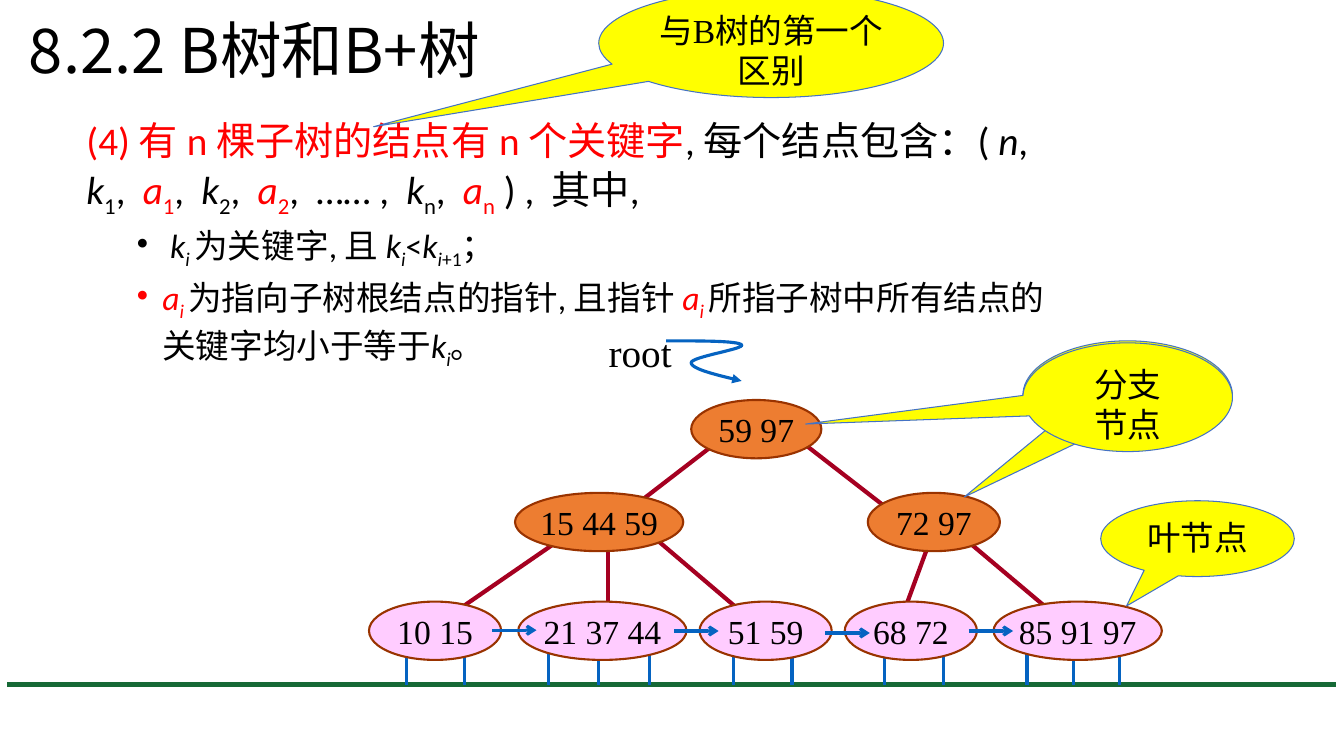
from pptx import Presentation
from pptx import util as u
from pptx.dml.color import RGBColor
from pptx.enum import shapes, text
from pptx.oxml.ns import qn
from lxml import etree

# All lengths in centimetres, sizes in points
RED, BLACK, BLUE, BROWN, CRIMSON = "FF0000", "000000", "0563C1", "993300", "A50021"
ORANGE, PINK, YELLOW, GREEN, RIM = "ED7D31", "FFCCFF", "FFFF00", "166936", "4472C4"
SERIF, SANS, CJK = "Times New Roman", "Calibri", "Noto Sans CJK SC"

TITLE = "8.2.2 B树和B+树"

# Span styles: r red, i italic, s subscript, w widely spaced
COMMA = (", ", "w")
RULES = [  # size, left margin, hanging indent, spans
    (28, 0, 0, [
        ("(4) 有 n 棵子树的结点有 n 个关键字", "r"), (", 每个结点包含：( ", ""),
        ("n", "i"), COMMA, ("k", "i"), ("1", "s"), COMMA, ("a", "ri"), ("1", "rs"), COMMA,
        ("k", "i"), ("2", "s"), COMMA, ("a", "ri"), ("2", "rs"), COMMA, ("…… ", ""), COMMA,
        ("k", "i"), ("n", "s"), COMMA, ("a", "ri"), ("n", "rs"), (" ) ", ""), COMMA,
        ("其中,", "")]),
    (24, 2.11, 0.84, [
        ("k", "i"), ("i ", "is"), ("为关键字, 且 ", ""), ("k", "i"), ("i", "is"), ("<", ""),
        ("k", "i"), ("i", "is"), ("+1", "s"), ("；", "")]),
    (24, 1.91, 0.64, [
        ("a", "ri"), ("i ", "ris"), ("为指向子树根结点的指针, 且指针 ", ""),
        ("a", "ri"), ("i ", "ris"), ("所指子树中所有结点的关键字均小于等于", ""),
        ("k", "i"), ("i", "is"), ("。", "")]),
]

NODE_HEIGHT = 1.47
LEVELS = [  # top, fill, nodes as (keys, left, width)
    (10.08, ORANGE, [("59 97", 17.42, 3.28)]),
    (12.42, ORANGE, [("15 44 59", 12.98, 4.24), ("72 97", 21.87, 3.33)]),
    (15.16, PINK, [("10 15", 9.3, 3.33), ("21 37 44", 13.06, 4.24), ("51 59", 17.63, 3.33),
                   ("68 72", 21.29, 3.33), ("85 91 97", 25.04, 4.24)]),
]
BRANCHES = [
    (19.96, 10.95, 22.94, 13.26), (18.06, 11.15, 15.32, 13.26),
    (15.32, 13.26, 15.32, 15.8), (14.27, 13.49, 11.51, 15.39), (16.15, 13.26, 18.9, 15.6),
    (24.21, 13.49, 26.95, 15.8), (23.57, 13.26, 22.71, 15.6),
]
GROUND, LEG_TOP = 17.25, 16.21
LEGS = [10.24, 11.71, 13.82, 15.09, 16.36, 18.49, 19.96, 22.3, 23.77, 25.88, 27.05, 28.22]
LEAF_LINKS, LINK_LENGTH = [(12.4, 15.88), (16.99, 15.9), (20.8, 15.95), (24.41, 15.9)], 1.12

ROOT_START = (16.79, 8.59)
ROOT_CURVE = [  # two control points and an end for each bend
    ((17.68, 8.59), (18.59, 8.59), (18.69, 8.69)),
    ((18.8, 8.79), (17.42, 8.99), (17.42, 9.14)),
    ((17.42, 9.3), (18.06, 9.45), (18.69, 9.6)),
]
CALLOUTS = [  # lines, place, pointer
    (["与B树的第一个区别"], (15.09, -0.28, 8.69, 2.74), (-1.153, 0.768)),
    (["叶节点"], (27.74, 12.62, 4.88, 1.91), (-0.367, 0.889)),
    ([], (25.78, 8.59, 5.28, 2.74), (-0.78, 0.936)),
    (["分支", "节点"], (25.78, 8.64, 5.28, 2.74), (-1.537, 0.247)),
]


def cm(*lengths):
    return [u.Cm(length) for length in lengths]


def rgb(code):
    return RGBColor.from_string(code)


def style(span, size, latin, asian, color=BLACK):
    font = span.font
    font.size, font.name = u.Pt(size), latin
    font.color.rgb = rgb(color)
    etree.SubElement(span.font._element, qn("a:ea")).set("typeface", asian)


def set_line(shape, color, width, head=None):
    shape.line.color.rgb = rgb(color)
    shape.line.width = u.Pt(width)
    if head:
        outline = shape.element.spPr.find(qn("a:ln"))
        etree.SubElement(outline, qn("a:tailEnd")).set("type", head)


def draw_line(ends, color, width, head=None):
    line = page.shapes.add_connector(shapes.MSO_CONNECTOR.STRAIGHT, *cm(*ends))
    set_line(line, color, width, head)
    etree.SubElement(line.element.spPr, qn("a:effectLst"))


def draw_shape(kind, place, fill, line, width):
    shape = page.shapes.add_shape(kind, *cm(*place))
    shape.shadow.inherit = False
    shape.fill.solid()
    shape.fill.fore_color.rgb = rgb(fill)
    set_line(shape, line, width)
    return shape


def write(shape, lines, size, latin, asian, align=text.PP_ALIGN.CENTER):
    shape.text_frame.text = "\n".join(lines)
    for para in shape.text_frame.paragraphs:
        para.alignment = align
        for span in para.runs:
            style(span, size, latin, asian)


def add_box(place):
    box = page.shapes.add_textbox(*cm(*place))
    box.text_frame.word_wrap = True
    return box


def write_rules(frame):
    for number, (size, margin, hanging, spans) in enumerate(RULES):
        para = frame.add_paragraph() if number else frame.paragraphs[0]
        if number:
            props = para._p.get_or_add_pPr()
            props.set("marL", str(u.Cm(margin)))
            props.set("indent", str(-u.Cm(hanging)))
            etree.SubElement(props, qn("a:buChar")).set("char", "•")
            para.space_before = u.Pt(size / 10)
        para.line_spacing = 1.05
        for words, marks in spans:
            span = para.add_run()
            span.text = words
            span.font.italic = "i" in marks
            style(span, size, SANS, SANS, RED if "r" in marks else BLACK)
            if "s" in marks:
                span.font._element.set("baseline", "-25000")
            if "w" in marks:
                span.font._element.set("spc", "300")


def curve_points(start, bends, steps=16):
    """Points along a chain of cubic Bezier bends."""
    points = []
    for first, second, end in bends:
        for step in range(1, steps + 1):
            t = step / steps
            weights = ((1 - t) ** 3, 3 * t * (1 - t) ** 2, 3 * t * t * (1 - t), t ** 3)
            corners = (start, first, second, end)
            points.append(tuple(u.Cm(sum(w * c[axis] for w, c in zip(weights, corners)))
                                for axis in (0, 1)))
        start = end
    return points


deck = Presentation()
deck.slide_width, deck.slide_height = cm(33.87, 19.05)
page = deck.slides.add_slide(deck.slide_layouts[6])

draw_line((0.18, GROUND, 33.68, GROUND), GREEN, 3.75)
write_rules(add_box((1.93, 2.74, 24.66, 6.4)).text_frame)

for x in LEGS:
    draw_line((x, LEG_TOP, x, GROUND), BLUE, 2.25)
for ends in BRANCHES:
    draw_line(ends, CRIMSON, 3)
for top, fill, nodes in LEVELS:
    for keys, left, width in nodes:
        node = draw_shape(shapes.MSO_SHAPE.OVAL, (left, top, width, NODE_HEIGHT), fill, BROWN, 1.5)
        node.text_frame.word_wrap = False
        node.text_frame.vertical_anchor = text.MSO_ANCHOR.MIDDLE
        write(node, [keys], 24, SERIF, SANS)

pen = page.shapes.build_freeform(*cm(*ROOT_START))
pen.add_line_segments(curve_points(ROOT_START, ROOT_CURVE), close=False)
root_arrow = pen.convert_to_shape()
root_arrow.shadow.inherit = False
root_arrow.fill.background()
set_line(root_arrow, BLUE, 2.25, "triangle")
write(add_box((15.09, 8.15, 2.97, 1.45)), ["root"], 28, SERIF, SANS, text.PP_ALIGN.LEFT)

for x, y in LEAF_LINKS:
    draw_line((x, y, x + LINK_LENGTH, y), BLUE, 2.25, "arrow")

for lines, place, pointer in CALLOUTS:
    callout = draw_shape(shapes.MSO_SHAPE.OVAL_CALLOUT, place, YELLOW, RIM, 0.75)
    callout.adjustments[0], callout.adjustments[1] = pointer
    callout.text_frame.vertical_anchor = text.MSO_ANCHOR.TOP
    callout.text_frame.word_wrap = True
    if lines:
        write(callout, lines, 24, SERIF, SANS)

title = add_box((0.48, -0.48, 29.21, 3.68))
title.text_frame.vertical_anchor = text.MSO_ANCHOR.MIDDLE
write(title, [TITLE], 44, CJK, CJK, text.PP_ALIGN.LEFT)
title.text_frame.paragraphs[0].line_spacing = 0.9

deck.save("out.pptx")
